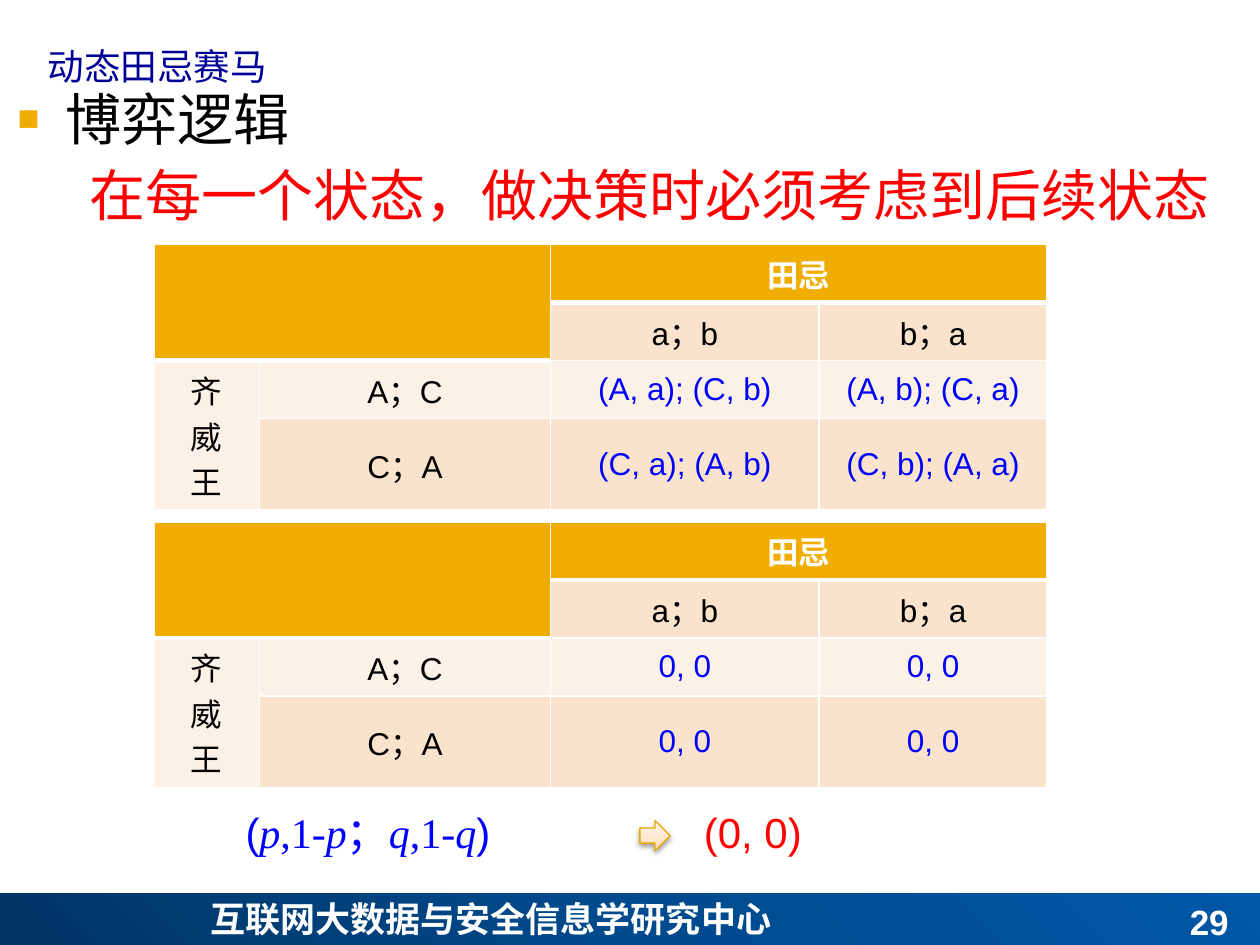
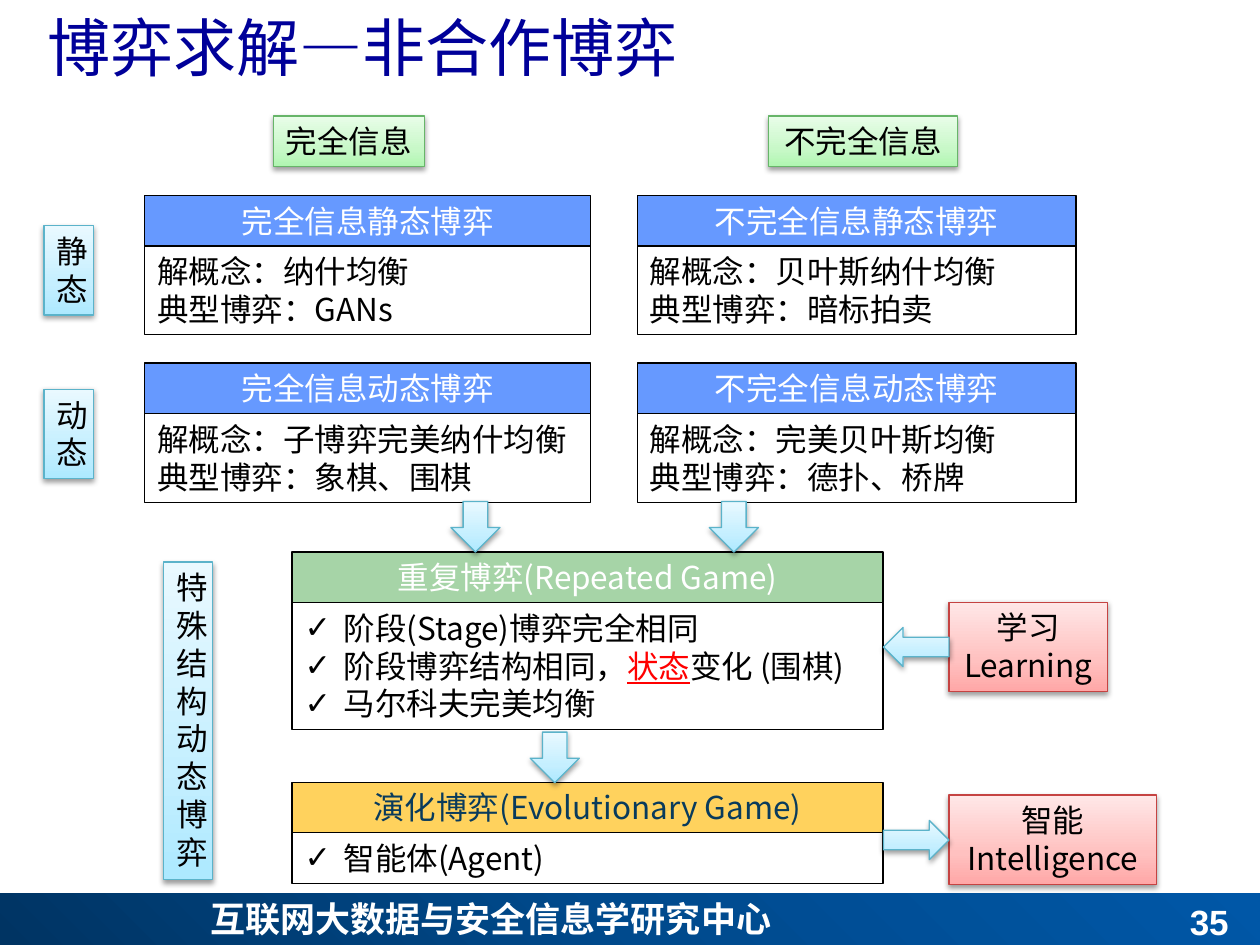
from dataclasses import dataclass

from pptx import Presentation
from pptx import util as u
from pptx.dml.color import RGBColor
from pptx.enum import shapes, text
from pptx.oxml import parse_xml
from pptx.oxml.ns import nsdecls, qn


@dataclass(frozen=True)
class Theme:
    cjk: str = "Noto Sans CJK SC"
    latin: str = "Arial"
    serif: str = "Times New Roman"
    black: str = "000000"
    white: str = "FFFFFF"
    navy: str = "000099"
    red: str = "FF0000"
    blue: str = "0000FF"
    gold: str = "F0AD00"
    cream: str = "F9E3CC"
    pale: str = "FCF1E7"
    card_blue: str = "6699FF"
    card_green: str = "A6D4A7"
    card_yellow: str = "FFD25D"
    card_ink: str = "093B5C"
    title: int = 36
    lead: int = 32
    formula: int = 24
    footer: int = 20
    label: int = 18


THEME = Theme()
BAND = [(0, "003463"), (50, "004A8D"), (100, "0057A7")]
# Each glossy style: line colour and three gradient stops, bottom to top
CYAN = ("5BB3CA", [(0, "ADE9FF"), (35, "C5EFFF"), (100, "E9F9FF")])
GREEN = ("67B569", [(0, "B0F6B1"), (35, "C8F8C8"), (100, "E9FDE9")])
PINK = ("C54342", [(0, "FFA7A7"), (35, "FFC1C0"), (100, "FFE7E7")])
PEACH = ("EBA900", [(0, "FFDBB5"), (35, "FFE5CB"), (100, "FFF5EB")])
UPWARD = '<a:lin ang="16200000" scaled="0"/>'
FROM_CORNER = '<a:path path="circle"><a:fillToRect t="100000" r="100000"/></a:path>'
LEFT, CENTER, RIGHT = (text.PP_ALIGN.LEFT, text.PP_ALIGN.CENTER,
                       text.PP_ALIGN.RIGHT)
ARROW_DOWN, ARROW_LEFT, ARROW_RIGHT, RECT = (
    shapes.MSO_SHAPE.DOWN_ARROW, shapes.MSO_SHAPE.LEFT_ARROW,
    shapes.MSO_SHAPE.RIGHT_ARROW, shapes.MSO_SHAPE.RECTANGLE)


def cm(*lengths):
    return [u.Cm(length) for length in lengths]


# Text
def style_run(run, size, color, name=THEME.cjk, baseline=None, **flags):
    values = {"size": u.Pt(size), "name": name, **flags}
    for key, value in values.items():
        setattr(run.font, key, value)
    run.font.color.rgb = RGBColor.from_string(color)
    props = run._r.get_or_add_rPr()
    props.append(parse_xml(f'<a:ea {nsdecls("a")} typeface="{THEME.cjk}"/>'))
    if baseline:
        props.set("baseline", str(baseline * 1000))


def add_bullet(paragraph, char, indent, color=None, percent=100):
    props = paragraph._p.get_or_add_pPr()
    props.set("marL", str(u.Cm(indent)))
    props.set("indent", str(-u.Cm(indent)))
    parts = [f'<a:buSzPct {nsdecls("a")} val="{percent * 1000}"/>',
             f'<a:buFont {nsdecls("a")} typeface="{THEME.latin}"/>',
             f'<a:buChar {nsdecls("a")} char="{char}"/>']
    if color:
        parts.insert(0, f'<a:buClr {nsdecls("a")}><a:srgbClr val="{color}"/></a:buClr>')
    for part in parts:
        props.append(parse_xml(part))


def write(frame, lines, align=LEFT, check=False, **fmt):
    """Each line is a string or a list of (string, format overrides)."""
    for i, line in enumerate(lines):
        paragraph = frame.paragraphs[0] if i == 0 else frame.add_paragraph()
        paragraph.alignment = align
        paragraph.line_spacing = 1.0
        if check:
            add_bullet(paragraph, "✓", 0.79)
        for words, extra in [(line, {})] if isinstance(line, str) else line:
            run = paragraph.add_run()
            run.text = words
            style_run(run, **{**fmt, **extra})


def add_text(slide, box, lines, anchor=text.MSO_ANCHOR.TOP, **fmt):
    frame = slide.shapes.add_textbox(*cm(*box)).text_frame
    frame.word_wrap = True
    frame.vertical_anchor = anchor
    write(frame, lines, **fmt)


# Shapes
def add_plain(slide, box, preset=RECT):
    shape = slide.shapes.add_shape(preset, *cm(*box))
    shape.shadow.inherit = False
    shape.text_frame.vertical_anchor = text.MSO_ANCHOR.TOP
    return shape


def set_outline(shape, color):
    shape.line.color.rgb = RGBColor.from_string(color)
    shape.line.width = u.Pt(0.75)


def set_gradient(shape, stops, direction):
    shape.fill.gradient()
    props = shape._element.spPr
    marks = "".join(f'<a:gs pos="{pos * 1000}"><a:srgbClr val="{color}"/></a:gs>'
                    for pos, color in stops)
    props.replace(props.find(qn("a:gradFill")), parse_xml(
        f'<a:gradFill {nsdecls("a")} rotWithShape="1"><a:gsLst>{marks}</a:gsLst>'
        f'{direction}</a:gradFill>'))


def add_glossy(slide, box, look, preset=RECT, lines=(), wrap=False):
    outline, stops = look
    shape = add_plain(slide, box, preset)
    set_gradient(shape, stops, UPWARD)
    set_outline(shape, outline)
    shape._element.spPr.find(qn("a:effectLst")).append(parse_xml(
        f'<a:outerShdw {nsdecls("a")} blurRad="40000" dist="20000" dir="5400000" '
        'rotWithShape="0"><a:srgbClr val="000000"><a:alpha val="38000"/>'
        '</a:srgbClr></a:outerShdw>'))
    shape.text_frame.word_wrap = wrap
    write(shape.text_frame, lines, CENTER, size=THEME.label, color=THEME.black)


def add_card(slide, left, top, width, heading, lines, fill,
             ink=THEME.white, check=False):
    head_height = 1.02
    head = add_plain(slide, (left, top, width, head_height))
    head.fill.solid()
    head.fill.fore_color.rgb = RGBColor.from_string(fill)
    body_height = 0.25 + 0.77 * len(lines)
    body = add_plain(slide, (left, top + head_height, width, body_height))
    body.fill.background()
    for part in (head, body):
        set_outline(part, THEME.black)
    write(head.text_frame, [heading], CENTER, size=THEME.label, color=ink)
    write(body.text_frame, lines, check=check, size=THEME.label, color=THEME.black)


# Payoff table
def set_borders(cell, top, bottom):
    for side, points in {"L": 1, "R": 1, "T": top, "B": bottom}.items():
        cell._tc.get_or_add_tcPr().append(parse_xml(
            f'<a:ln{side} {nsdecls("a")} w="{u.Pt(points)}"><a:solidFill>'
            f'<a:srgbClr val="{THEME.white}"/></a:solidFill></a:ln{side}>'))


def under_header(row, col):
    """Width of the rule below a cell: thick where the gold header ends."""
    return 3 if row == 0 or (row == 1 and col < 2) else 1


def add_payoffs(slide, top, payoffs):
    # The last row is taller: the king's label needs three lines over two rows
    widths, heights = (2.13, 5.87, 5.41, 4.6), (1.17, 1.17, 1.17, 1.84)
    table = slide.shapes.add_table(
        4, 4, *cm(3.1, top, sum(widths), sum(heights))).table
    for column, width in zip(table.columns, widths):
        column.width = u.Cm(width)
    for row, height in zip(table.rows, heights):
        row.height = u.Cm(height)
    for first, last in (((0, 0), (1, 1)), ((0, 2), (0, 3)), ((2, 0), (3, 0))):
        table.cell(*first).merge(table.cell(*last))

    contents = [["", "", "田忌", ""],
                ["", "", "a；b", "b；a"],
                ["齐威王", "A；C", *payoffs[0]],
                ["", "C；A", *payoffs[1]]]
    for r, row in enumerate(contents):
        for c, words in enumerate(row):
            cell = table.cell(r, c)
            header = r == 0 or (r == 1 and c < 2)
            fill = THEME.gold if header else THEME.pale if r == 2 else THEME.cream
            ink = (THEME.white if header else
                   THEME.blue if r > 1 and c > 1 else THEME.black)
            set_borders(cell, under_header(r - 1, c) if r else 1, under_header(r, c))
            cell.fill.solid()
            cell.fill.fore_color.rgb = RGBColor.from_string(fill)
            cell.vertical_anchor = text.MSO_ANCHOR.MIDDLE
            if words:
                write(cell.text_frame, list(words) if c == 0 else [words], CENTER,
                      size=THEME.label, color=ink, name=THEME.latin, bold=header)


# Shared slide frame
def start_slide(deck, layout, title, number, **title_format):
    slide = deck.slides.add_slide(deck.slide_layouts[layout])
    band = add_plain(slide, (0, 18.01, 25.4, 1.04))
    set_gradient(band, BAND, FROM_CORNER)
    band.line.fill.background()
    strong = {"size": THEME.footer, "color": THEME.white, "bold": True}
    add_text(slide, (3.99, 17.96, 17.4, 1.12),
             ["互联网大数据与安全信息学研究中心"], **strong)
    add_text(slide, (19.1, 18.01, 5.92, 1.12), [str(number)],
             text.MSO_ANCHOR.BOTTOM, align=RIGHT, name=THEME.latin, **strong)
    heading = slide.shapes.title
    place(heading, (0.71, -0.08, 24.69, 2.01))
    heading.text_frame.vertical_anchor = text.MSO_ANCHOR.MIDDLE
    write(heading.text_frame, [title], size=THEME.title, color=THEME.navy,
          **title_format)
    return slide


def place(holder, box):
    for key, length in zip(("left", "top", "width", "height"), cm(*box)):
        setattr(holder, key, length)
    holder.text_frame.auto_size = text.MSO_AUTO_SIZE.NONE


def build_horse_race(deck):
    slide = start_slide(deck, 1, "动态田忌赛马", 29, baseline=-22)

    # Game logic
    logic = slide.placeholders[1]
    place(logic, (0.1, 1.58, 26.01, 16.1))
    write(logic.text_frame,
          ["博弈逻辑",
           [("在每一个状态，做决策时必须考虑到后续状态", {"color": THEME.red})]],
          size=THEME.lead, color=THEME.black, name=THEME.serif)
    topic, rule = logic.text_frame.paragraphs
    topic.space_before = u.Pt(0)
    add_bullet(topic, "■", 0.97, THEME.gold, 65)
    rule.alignment = CENTER
    rule.space_before = u.Pt(5)
    rule_props = rule._p.get_or_add_pPr()
    for key in ("marL", "indent"):
        rule_props.set(key, "0")
    rule_props.append(parse_xml(f'<a:buNone {nsdecls("a")}/>'))

    # Moves and their payoffs
    add_payoffs(slide, 4.93, [["(A, a); (C, b)", "(A, b); (C, a)"],
                              ["(C, a); (A, b)", "(C, b); (A, a)"]])
    add_payoffs(slide, 10.52, [["0, 0"] * 2] * 2)

    # Mixed strategy and its value
    upright, slanted = {"name": THEME.serif}, {"name": THEME.serif, "italic": True}
    strategy = [("(", {}), ("p", slanted), (",1", upright), ("-p", slanted),
                ("；", upright), ("q", slanted), (",1", upright), ("-q", slanted),
                (")", {})]
    math_font = {"size": THEME.formula, "name": THEME.latin}
    add_text(slide, (4.7, 16.13, 9.19, 1.27), [strategy],
             color=THEME.blue, **math_font)
    add_text(slide, (13.94, 16.13, 3, 1.27), ["(0, 0)"],
             color=THEME.red, **math_font)
    add_glossy(slide, (12.9, 16.54, 0.61, 0.61), PEACH, ARROW_RIGHT)


def build_solutions(deck):
    slide = start_slide(deck, 5, "博弈求解—非合作博弈", 35)

    # Column and row labels
    for left, width, label in ((5.51, 3.05, "完全信息"), (15.49, 3.81, "不完全信息")):
        add_glossy(slide, (left, 2.34, width, 1.02), GREEN, lines=[label])
    for left, top, height, label in ((0.89, 4.55, 1.8, "静态"), (0.89, 7.85, 1.8, "动态"),
                                     (3.3, 11.33, 6.4, "特殊结构动态博弈")):
        add_glossy(slide, (left, top, 0.99, height), CYAN, lines=[label], wrap=True)

    # Four basic games
    columns = (("完全信息", 2.92, 8.99), ("不完全信息", 12.85, 8.84))
    rows = (("静态博弈", 3.94, (("纳什均衡", "GANs"), ("贝叶斯纳什均衡", "暗标拍卖"))),
            ("动态博弈", 7.32, (("子博弈完美纳什均衡", "象棋、围棋"),
                            ("完美贝叶斯均衡", "德扑、桥牌"))))
    for kind, top, games in rows:
        for (information, left, width), (concept, example) in zip(columns, games):
            add_card(slide, left, top, width, information + kind,
                     [f"解概念：{concept}", f"典型博弈：{example}"], THEME.card_blue)

    # Dynamic games of special structure
    state = {"color": THEME.red, "underline": True}
    add_card(slide, 5.89, 11.13, 11.91, "重复博弈(Repeated Game)",
             ["阶段(Stage)博弈完全相同",
              [("阶段博弈结构相同，", {}), ("状态", state), ("变化 (围棋)", {})],
              "马尔科夫完美均衡"], THEME.card_green, check=True)
    add_card(slide, 5.89, 15.77, 11.91, "演化博弈(Evolutionary Game)",
             ["智能体(Agent)"], THEME.card_yellow, THEME.card_ink, check=True)

    # Flow between games, learning and intelligence
    for left, top in ((9.09, 10.11), (14.3, 10.11), (10.69, 14.76)):
        add_glossy(slide, (left, top, 0.99, 1.02), CYAN, ARROW_DOWN)
    for top, width, lines, arrow in (
            (12.14, 3.2, ["学习", "Learning"], ARROW_LEFT),
            (16.03, 4.19, ["智能", "Intelligence"], ARROW_RIGHT)):
        add_glossy(slide, (19.13, top, width, 1.8), PINK, lines=lines)
        add_glossy(slide, (17.81, top + 0.51, 1.32, 0.79), CYAN, arrow)


def main():
    deck = Presentation()
    deck.slide_width, deck.slide_height = cm(25.4, 19.05)
    build_horse_race(deck)
    build_solutions(deck)
    deck.save("out.pptx")


if __name__ == "__main__":
    main()
